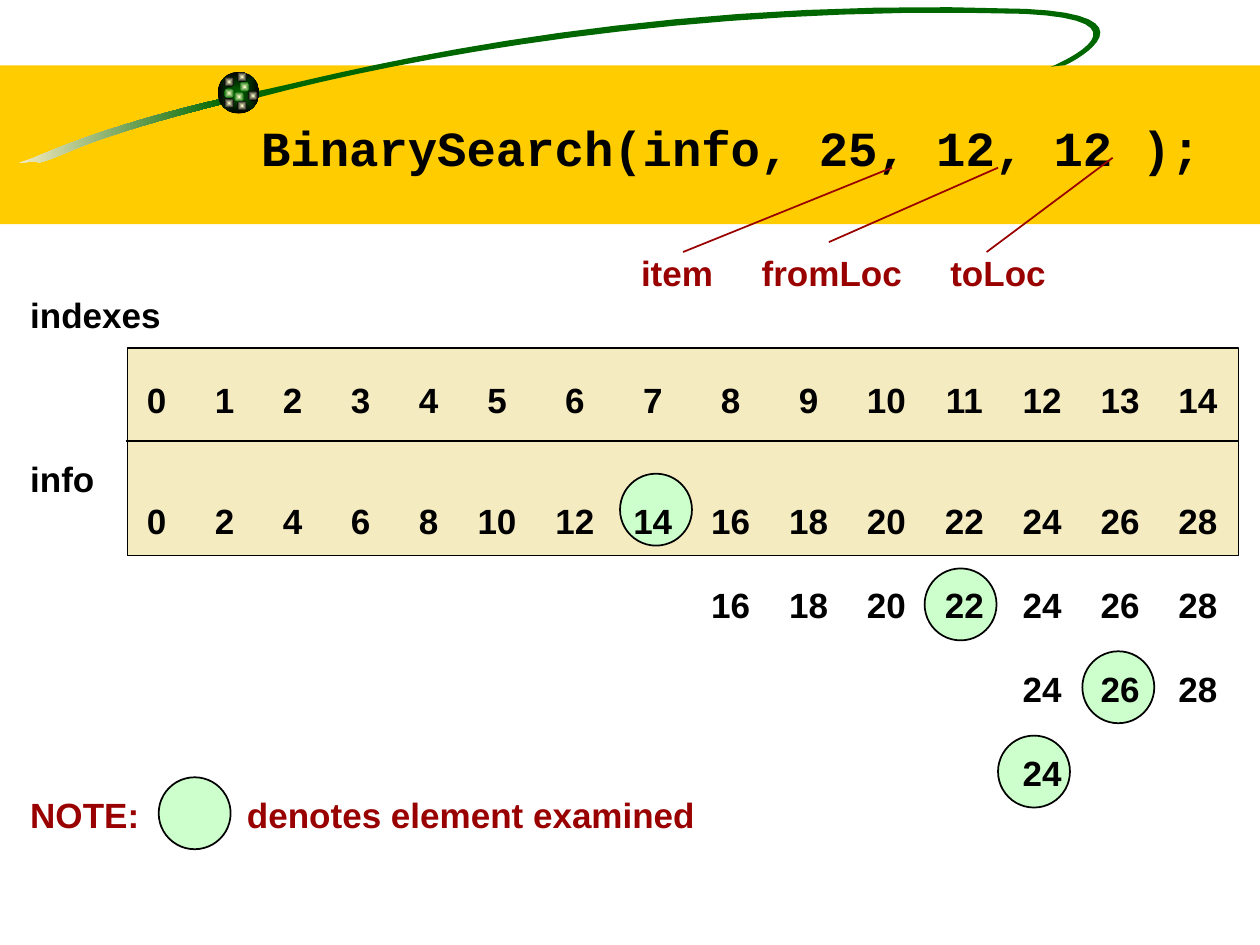
from lxml import etree
from pptx import Presentation
from pptx.dml.color import RGBColor
from pptx.enum.shapes import MSO_CONNECTOR, MSO_SHAPE
from pptx.enum.text import MSO_ANCHOR, PP_ALIGN
from pptx.oxml import parse_xml
from pptx.oxml.ns import nsdecls, qn
from pptx.util import Cm, Pt

BLACK = RGBColor(0x00, 0x00, 0x00)
GOLD = RGBColor(0xFF, 0xCC, 0x00)
GREEN = RGBColor(0x00, 0x66, 0x00)
CREAM = RGBColor(0xF5, 0xEB, 0xC1)
PALE_YELLOW = RGBColor(0xFF, 0xFF, 0xCC)
PALE_GREEN = RGBColor(0xCC, 0xFF, 0xCC)
DARK_RED = RGBColor(0x99, 0x00, 0x00)
RECTANGLE = MSO_SHAPE.RECTANGLE
OVAL = MSO_SHAPE.OVAL
STRAIGHT = MSO_CONNECTOR.STRAIGHT
CURVE_STEPS = 16

presentation = Presentation()
presentation.slide_width = Cm(25.4)
presentation.slide_height = Cm(19.05)
slide = presentation.slides.add_slide(presentation.slide_layouts[6])
shapes = slide.shapes


def add_plain_shape(kind, left, top, width, height):
    shape = shapes.add_shape(kind, Cm(left), Cm(top), Cm(width), Cm(height))
    shape.shadow.inherit = False
    shape.line.fill.background()
    return shape


def add_curved_outline(start, curves):
    """Draw a closed outline of cubic curves, each two controls and an end."""
    points = []
    current = start
    for first, second, end in curves:
        for step in range(1, CURVE_STEPS + 1):
            t = step / CURVE_STEPS
            u = 1 - t
            points.append(tuple(
                Cm(u**3 * a + 3 * u**2 * t * b + 3 * u * t**2 * c + t**3 * d)
                for a, b, c, d in zip(current, first, second, end)
            ))
        current = end
    builder = shapes.build_freeform(Cm(start[0]), Cm(start[1]))
    builder.add_line_segments(points, close=True)
    shape = builder.convert_to_shape()
    shape.shadow.inherit = False
    shape.line.fill.background()
    return shape


# Title band with its comet
band = add_plain_shape(RECTANGLE, 0, 1.32, 25.4, 3.2)
band.fill.solid()
band.fill.fore_color.rgb = GOLD

tail = add_curved_outline((4.52, 1.98), [
    ((2.31, 2.49), (1.24, 2.95), (0.64, 3.2)),
    ((0.03, 3.4), (0.66, 3.2), (0.79, 3.28)),
    ((1.45, 3.1), (1.45, 2.87), (4.55, 2.08)),
])
tail.fill.gradient()
tail.fill.gradient_angle = 0
for stop, color in zip(tail.fill.gradient_stops, (CREAM, GREEN)):
    stop.color.rgb = color

orbit = add_curved_outline((5.13, 1.85), [
    ((6.25, 1.65), (12.34, -0.13), (20.68, 0.18)),
    ((23.29, 0.3), (21.77, 1.19), (21.46, 1.32)),
    ((21.46, 1.32), (21.34, 1.32), (21.18, 1.35)),
    ((21.44, 1.24), (23.27, 0.41), (20.65, 0.28)),
    ((13.92, 0.08), (8.13, 1.19), (5.23, 1.96)),
])
orbit.fill.solid()
orbit.fill.fore_color.rgb = GREEN

# The ball comes first, then its lights: left, top, size, centre, rim
balls = [(4.39, 1.45, 0.84, GREEN, BLACK)]
balls += [(left, top, 0.2, PALE_YELLOW, GREEN)
          for left, top in ((4.83, 1.65), (4.52, 1.78), (4.72, 1.85))]
balls += [(left, top, 0.2, PALE_YELLOW, BLACK)
          for left, top in ((4.52, 1.55), (5.0, 1.83), (4.78, 2.03),
                            (4.52, 1.98), (4.78, 1.45))]
for left, top, size, center, rim in balls:
    ball = add_plain_shape(OVAL, left, top, size, size)
    ball.fill.gradient()
    for stop, color in zip(ball.fill.gradient_stops, (center, rim)):
        stop.color.rgb = color
    linear = ball.fill._xPr.find(qn("a:gradFill")).find(qn("a:lin"))
    linear.getparent().replace(linear, parse_xml(
        f'<a:path {nsdecls("a")} path="rect">'
        '<a:fillToRect l="50000" t="50000" r="50000" b="50000"/></a:path>'
    ))

title = shapes.add_textbox(Cm(3.81), Cm(1.47), Cm(23.7), Cm(2.11))
title_frame = title.text_frame
title_frame.word_wrap = True
title_frame.vertical_anchor = MSO_ANCHOR.BOTTOM
title_frame.margin_right = Cm(2.1)
title_frame.margin_bottom = Cm(0.02)
paragraph = title_frame.paragraphs[0]
paragraph.text = "BinarySearch(info, 25, 12, 12 );"
paragraph.alignment = PP_ALIGN.CENTER
paragraph.font.name = "Courier New"
paragraph.font.size = Pt(28)
paragraph.font.bold = True
paragraph.font.color.rgb = BLACK

# Array panel, its divider and the argument pointers
panel = add_plain_shape(RECTANGLE, 2.57, 7.01, 22.4, 4.19)
panel.fill.solid()
panel.fill.fore_color.rgb = CREAM
panel.line.color.rgb = BLACK
panel.line.width = Pt(1)

lines = [
    (2.54, 8.89, 24.97, 8.89, BLACK),
    (17.98, 3.38, 13.77, 5.08, DARK_RED),
    (22.43, 3.18, 19.89, 5.08, DARK_RED),
    (20.12, 3.38, 16.71, 4.88, DARK_RED),
]
for from_x, from_y, to_x, to_y, color in lines:
    line = shapes.add_connector(
        STRAIGHT, Cm(from_x), Cm(from_y), Cm(to_x), Cm(to_y))
    line.line.color.rgb = color
    line.line.width = Pt(1)
    etree.SubElement(line._element.spPr, qn("a:effectLst"))

# Circles: the legend, then the elements examined
for left, top in ((3.2, 15.67), (12.5, 9.55), (18.64, 11.46),
                  (20.12, 14.83), (21.82, 13.13)):
    circle = add_plain_shape(OVAL, left, top, 1.45, 1.45)
    circle.fill.solid()
    circle.fill.fore_color.rgb = PALE_GREEN
    circle.line.color.rgb = BLACK
    circle.line.width = Pt(1)

# Text rows; columns are wider from the first two-digit value on
columns = [2.55 + 1.37 * i for i in range(5)]
columns += [9.41 + 1.57 * i for i in range(10)]
indexes = range(15)
values = [2 * i for i in indexes]

# Each row: first cell, tabbed cells, tab stops, alignment, space before, colour
rows = [
    ("", ["item", "fromLoc", "toLoc"], [13.04, 16.16, 19.51], "ctr", 0, DARK_RED),
    ("indexes", [], [], "ctr", 0, BLACK),
    ("", indexes, columns, "ctr", 24.5, BLACK),
    ("info", [], [], "ctr", 21, BLACK),
    ("", values, columns, "ctr", 0, BLACK),
    ("", values[8:], columns[8:], "ctr", 24, BLACK),
    ("", values[12:], columns[12:], "ctr", 24, BLACK),
    ("", values[12:13], columns[12:13], "ctr", 24, BLACK),
    ("NOTE:", ["denotes element examined"], [4.37], "l", 0, DARK_RED),
]
search_steps = shapes.add_textbox(Cm(0.36), Cm(4.95), Cm(24.87), Cm(12.04))
steps_frame = search_steps.text_frame
steps_frame.word_wrap = True
for number, (first, cells, stops, alignment, space, color) in enumerate(rows):
    paragraph = steps_frame.add_paragraph() if number else steps_frame.paragraphs[0]
    paragraph.text = "\t".join([first, *map(str, cells)])
    if stops:
        tab_list = etree.SubElement(
            paragraph._p.get_or_add_pPr(), qn("a:tabLst"))
        for position in stops:
            etree.SubElement(tab_list, qn("a:tab"),
                             pos=str(Cm(position)), algn=alignment)
    paragraph.line_spacing = Pt(24)
    if space:
        paragraph.space_before = Pt(space)
    paragraph.font.name = "Arial"
    paragraph.font.size = Pt(20)
    paragraph.font.bold = True
    paragraph.font.color.rgb = color

presentation.save("out.pptx")
